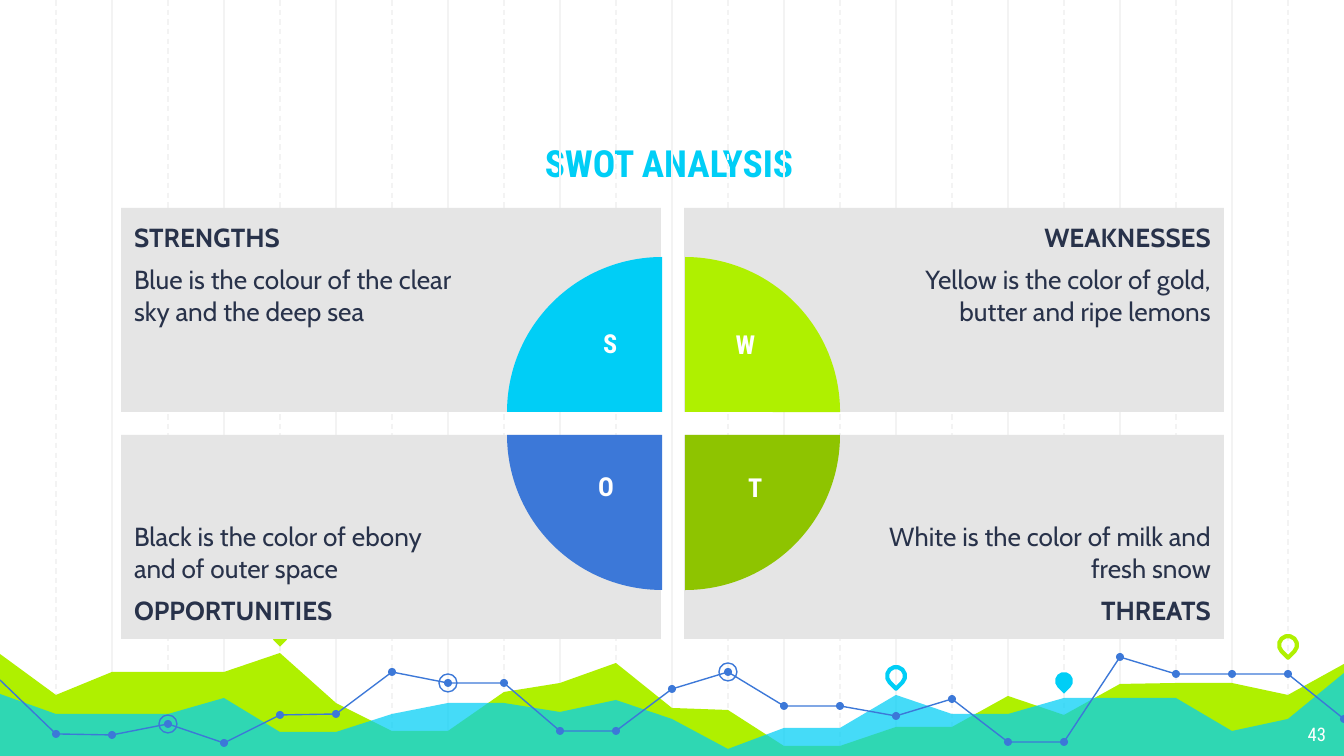
from lxml.etree import SubElement
from pptx import Presentation
from pptx.dml.color import RGBColor
from pptx.enum.dml import MSO_LINE
from pptx.enum.shapes import MSO_CONNECTOR, MSO_SHAPE
from pptx.enum.text import MSO_ANCHOR, MSO_AUTO_SIZE, PP_ALIGN
from pptx.oxml.ns import qn
from pptx.util import Pt

PX = 914400 / 134.4
STEP = 56
WIDE, HIGH = 1344, 756

CYAN = RGBColor(0x00, 0xCE, 0xF6)
LIME = RGBColor(0xAF, 0xF0, 0x00)
OLIVE = RGBColor(0x8E, 0xC4, 0x00)
BLUE = RGBColor(0x3C, 0x78, 0xD8)
NAVY = RGBColor(0x28, 0x32, 0x4A)
GREY = RGBColor(0xE5, 0xE5, 0xE5)
PALE = RGBColor(0xF3, 0xF3, 0xF3)
WHITE = RGBColor(0xFF, 0xFF, 0xFF)

OVAL, DROP, PIE, RECT = MSO_SHAPE.OVAL, MSO_SHAPE.TEAR, MSO_SHAPE.PIE, MSO_SHAPE.RECTANGLE
LEFT, MID, RIGHT = PP_ALIGN.LEFT, PP_ALIGN.CENTER, PP_ALIGN.RIGHT
TOP, BASE = MSO_ANCHOR.TOP, MSO_ANCHOR.BOTTOM
ROBOTO, CABIN = "Roboto Condensed", "Cabin"

deck = Presentation()
deck.slide_width, deck.slide_height = round(WIDE * PX), round(HIGH * PX)
slide = deck.slides.add_slide(deck.slide_layouts[5])
shapes = slide.shapes


def paint(shape, fill=None, edge=None, width=0.75):
    shape.shadow.inherit = False
    if fill is None:
        shape.fill.background()
    else:
        shape.fill.solid()
        shape.fill.fore_color.rgb = fill
    if edge is None:
        shape.line.fill.background()
    else:
        shape.line.color.rgb = edge
        shape.line.width = Pt(width)
    return shape


def write(para, text, align, color, form):
    para.alignment = align
    run = para.add_run()
    run.text = text
    run.font.color.rgb = color
    for key, value in form.items():
        setattr(run.font, key, value)


for i in range(1, WIDE // STEP):
    x = round(i * STEP * PX)
    rule = shapes.add_connector(MSO_CONNECTOR.STRAIGHT, x, 0, x, round(HIGH * PX))
    rule.line.color.rgb = PALE
    rule.line.width = Pt(0.75)
    if i % 2:
        rule.line.dash_style = MSO_LINE.DASH
    SubElement(rule.element.spPr, qn("a:effectLst"))

hills = [
    (LIME, 100, [654, 695, 672, 672, 672, 653, 703, 731, 731, 692, 683, 663, 708,
                 710, 746, 746, 727, 727, 696, 715, 684, 683, 683, 695, 664]),
    (CYAN, 73, [694, 714, 714, 714, 698, 732, 732, 714, 703, 703, 712, 700, 719,
                749, 728, 728, 695, 714, 714, 698, 698, 698, 731, 719, 673]),
]
for color, alpha, tops in hills:
    pen = shapes.build_freeform(0, HIGH, scale=PX)
    pen.add_line_segments([(i * STEP, y) for i, y in enumerate(tops)] + [(WIDE, HIGH)])
    hill = paint(pen.convert_to_shape(), color)
    if alpha < 100:
        tint = hill.element.spPr.find(qn("a:solidFill"))[0]
        SubElement(tint, qn("a:alpha"), val=str(alpha * 1000))

trend = [680, 734, 735, 724, 743, 715, 714, 672, 683, 683, 731, 731, 689,
         672, 706, 706, 716, 699, 742, 742, 657, 674, 674, 674, 719]
nodes = [(i * STEP, y) for i, y in enumerate(trend)]
pen = shapes.build_freeform(*nodes[0], scale=PX)
pen.add_line_segments(nodes[1:], close=False)
paint(pen.convert_to_shape(), edge=BLUE)

marks = [(OVAL, x, y, 8, BLUE, None, 0) for x, y in nodes[1:]]
marks += [(OVAL, *nodes[i], 18, None, BLUE, 0.75) for i in (3, 8, 13)]
marks += [
    (DROP, 5 * STEP, 634, 18, LIME, None, 0),
    (DROP, 16 * STEP, 676, 18, None, CYAN, 2.25),
    (DROP, 19 * STEP, 681, 18, CYAN, None, 0),
    (DROP, 23 * STEP, 645, 18, None, LIME, 2.25),
]
for kind, x, y, size, fill, edge, width in marks:
    box = [round(v * PX) for v in (x - size / 2, y - size / 2, size, size)]
    mark = paint(shapes.add_shape(kind, *box), fill, edge, width)
    if kind == DROP:
        mark.rotation = 135

title = shapes.title
place = {"left": 155, "top": 93, "width": 1028, "height": 105}
for key, value in place.items():
    setattr(title, key, round(value * PX))
inset = round(13 * PX)
frame = {"auto_size": MSO_AUTO_SIZE.NONE, "word_wrap": True, "vertical_anchor": BASE,
         "margin_left": inset, "margin_right": inset, "margin_top": inset, "margin_bottom": inset}
for key, value in frame.items():
    setattr(title.text_frame, key, value)
write(title.text_frame.paragraphs[0], "SWOT ANALYSIS", MID, CYAN,
      {"name": ROBOTO, "size": Pt(20), "bold": True})

cards = [
    (121, 208, LEFT, TOP, "STRENGTHS", "Blue is the colour of the clear sky and the deep sea"),
    (684, 208, RIGHT, TOP, "WEAKNESSES", "Yellow is the color of gold, butter and ripe lemons"),
    (121, 435, LEFT, BASE, "OPPORTUNITIES", "Black is the color of ebony and of outer space"),
    (684, 435, RIGHT, BASE, "THREATS", "White is the color of milk and fresh snow"),
]
for x, y, align, anchor, head, body in cards:
    box = [round(v * PX) for v in (x, y, 540, 204)]
    card = paint(shapes.add_shape(RECT, *box), GREY)
    text = card.text_frame
    side = "margin_right" if align == LEFT else "margin_left"
    for key, value in {**frame, "vertical_anchor": anchor, side: round(202 * PX)}.items():
        setattr(text, key, value)
    lines = [(head, True), (body, False)]
    if anchor == BASE:
        lines.reverse()
    paras = [text.paragraphs[0], text.add_paragraph()]
    for para, (words, bold) in zip(paras, lines):
        write(para, words, align, NAVY, {"name": CABIN, "size": Pt(14), "bold": bold})
    paras[1].space_before = Pt(6)

pies = [(507, 257, CYAN), (530, 257, LIME), (530, 280, OLIVE), (507, 280, BLUE)]
for i, (x, y, color) in enumerate(pies):
    box = [round(v * PX) for v in (x, y, 310, 310)]
    pie = paint(shapes.add_shape(PIE, *box), color)
    pie.adjustments[0], pie.adjustments[1] = 108, 162
    pie.rotation = 90 * i

bold = {"name": ROBOTO, "size": Pt(14), "bold": True}
labels = [
    ("S", 590, 321, 35, 66, MID, bold),
    ("W", 720, 322, 51, 65, MID, bold),
    ("O", 585, 464, 39, 66, MID, bold),
    ("T", 735, 465, 34, 65, MID, bold),
    ("43", 1258, 710, 81, 47, RIGHT, {"name": ROBOTO, "size": Pt(10)}),
]
for words, x, y, w, h, align, form in labels:
    label = shapes.add_textbox(*[round(v * PX) for v in (x, y, w, h)])
    text = label.text_frame
    if align == RIGHT:
        for key, value in {**frame, "vertical_anchor": TOP}.items():
            setattr(text, key, value)
    write(text.paragraphs[0], words, align, WHITE, form)

deck.save("out.pptx")
